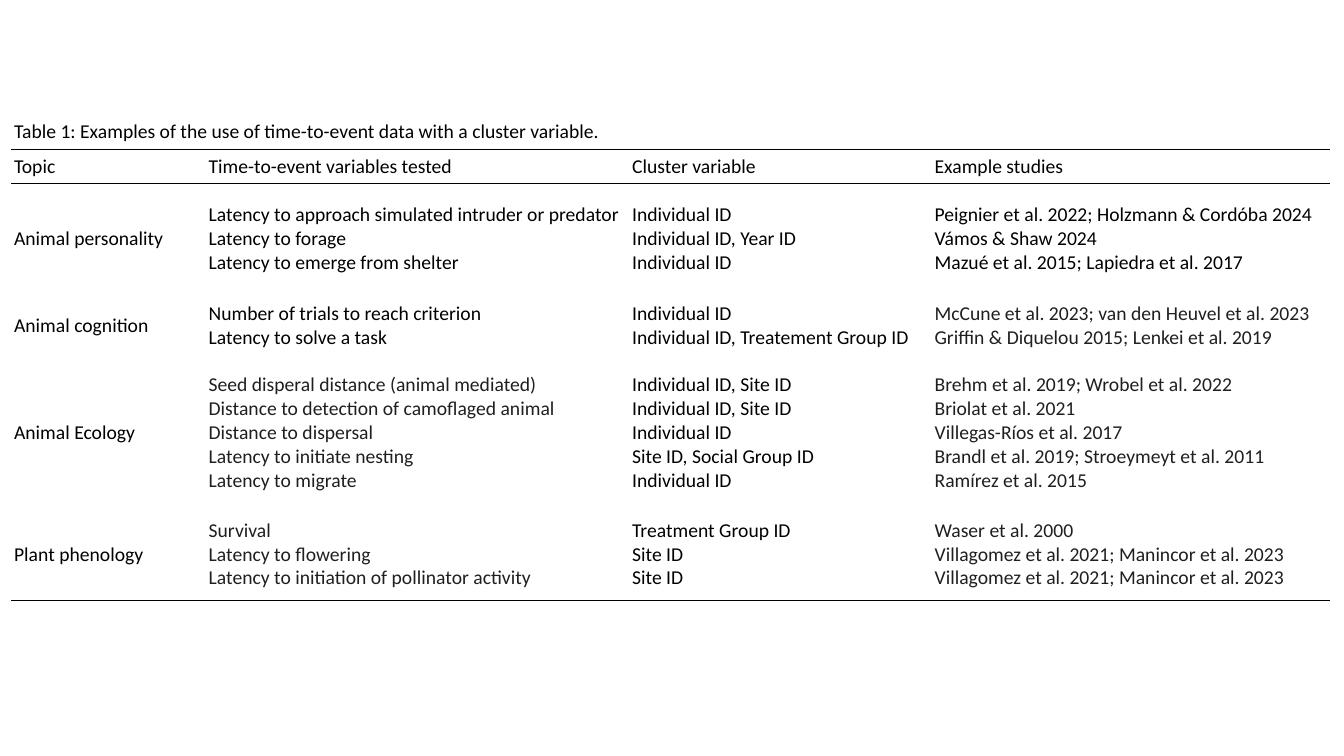
from lxml import etree
from pptx import Presentation
from pptx.dml.color import RGBColor
from pptx.enum.text import MSO_ANCHOR
from pptx.oxml.ns import qn
from pptx.util import Inches, Pt

MIDDLE = MSO_ANCHOR.MIDDLE
BLANK = 6
FONT, SIZE = "Calibri", 14
COLORS = {"ink": "000000", "soft": "1F1F1F", "paper": "FFFFFF"}

COLS = [1.93, 4.2, 3, 3.95]
ROWS = [0.34, 0.34, 1.1, 0.63, 1.49, 0.92]
RULES = {1, 2, len(ROWS)}  # row edges that carry a line
SOFT = {(3, 3), (4, 1), (4, 3), (5, 1), (5, 3)}  # grey text on white

CAPTION = "Table 1: Examples of the use of time-to-event data with a cluster variable."
HEADS = ["Topic", "Time-to-event variables tested", "Cluster variable", "Example studies"]

# Each topic holds its lines of (variable, cluster, studies)
TOPICS = {
    "Animal personality": [
        ("Latency to approach simulated intruder or predator", "Individual ID",
         "Peignier et al. 2022; Holzmann & Cordóba 2024"),
        ("Latency to forage", "Individual ID, Year ID", "Vámos & Shaw 2024"),
        ("Latency to emerge from shelter", "Individual ID",
         "Mazué et al. 2015; Lapiedra et al. 2017"),
    ],
    "Animal cognition": [
        ("Number of trials to reach criterion", "Individual ID",
         "McCune et al. 2023; van den Heuvel et al. 2023"),
        ("Latency to solve a task", "Individual ID, Treatement Group ID",
         "Griffin & Diquelou 2015; Lenkei et al. 2019"),
    ],
    "Animal Ecology": [
        ("Seed disperal distance (animal mediated)", "Individual ID, Site ID",
         "Brehm et al. 2019; Wrobel et al. 2022"),
        ("Distance to detection of camoflaged animal", "Individual ID, Site ID",
         "Briolat et al. 2021"),
        ("Distance to dispersal", "Individual ID", "Villegas-Ríos et al. 2017"),
        ("Latency to initiate nesting", "Site ID, Social Group ID",
         "Brandl et al. 2019; Stroeymeyt et al. 2011"),
        ("Latency to migrate", "Individual ID", "Ramírez et al. 2015"),
    ],
    "Plant phenology": [
        ("Survival", "Treatment Group ID", "Waser et al. 2000"),
        ("Latency to flowering", "Site ID",
         "Villagomez et al. 2021; Manincor et al. 2023"),
        ("Latency to initiation of pollinator activity", "Site ID",
         "Villagomez et al. 2021; Manincor et al. 2023"),
    ],
}


def set_rules(cell, row):
    """Draw the lines above and below a cell and clear its sides."""
    shown = {"L": False, "R": False, "T": row in RULES, "B": row + 1 in RULES}
    props = cell._tc.get_or_add_tcPr()
    for i, (side, on) in enumerate(shown.items()):
        line = etree.Element(qn(f"a:ln{side}"), w=str(Pt(1)))
        if on:
            fill = etree.SubElement(line, qn("a:solidFill"))
            etree.SubElement(fill, qn("a:srgbClr"), val=COLORS["ink"])
        else:
            etree.SubElement(line, qn("a:noFill"))
        props.insert(i, line)


def set_cell(cell, text, soft):
    """Write and format one cell."""
    cell.vertical_anchor = MIDDLE
    cell.margin_left = cell.margin_right = Inches(0.03)
    cell.margin_top = cell.margin_bottom = Inches(0.02)
    if soft:
        cell.fill.solid()
        cell.fill.fore_color.rgb = RGBColor.from_string(COLORS["paper"])
    else:
        cell.fill.background()
    para = cell.text_frame.paragraphs[0]
    para.text = text
    para.font.size = Pt(SIZE)
    for run in para.runs:
        run.font.name = FONT
        run.font.size = Pt(SIZE)
        run.font.color.rgb = RGBColor.from_string(COLORS["soft" if soft else "ink"])


def add_studies(slide, left, top):
    """Place the table of studies with its top left corner at the given point."""
    frame = slide.shapes.add_table(
        len(ROWS), len(COLS), Inches(left), Inches(top),
        Inches(sum(COLS)), Inches(sum(ROWS)))
    table = frame.table
    table.first_row = table.horz_banding = False
    for col, width in zip(table.columns, COLS):
        col.width = Inches(width)
    for row, height in zip(table.rows, ROWS):
        row.height = Inches(height)

    # Caption, heads, then one row per topic with line breaks inside its cells
    grid = [[CAPTION, "", "", ""], HEADS]
    for topic, lines in TOPICS.items():
        grid.append([topic] + ["\v".join(part) for part in zip(*lines)])
    for r, texts in enumerate(grid):
        for c, text in enumerate(texts):
            cell = table.cell(r, c)
            set_cell(cell, text, (r, c) in SOFT)
            set_rules(cell, r)
    table.cell(0, 0).merge(table.cell(0, len(COLS) - 1))


def main():
    prs = Presentation()
    prs.slide_width, prs.slide_height = Inches(13.33), Inches(7.5)
    slide = prs.slides.add_slide(prs.slide_layouts[BLANK])
    add_studies(slide, 0.11, 1.14)
    prs.save("out.pptx")


if __name__ == "__main__":
    main()
